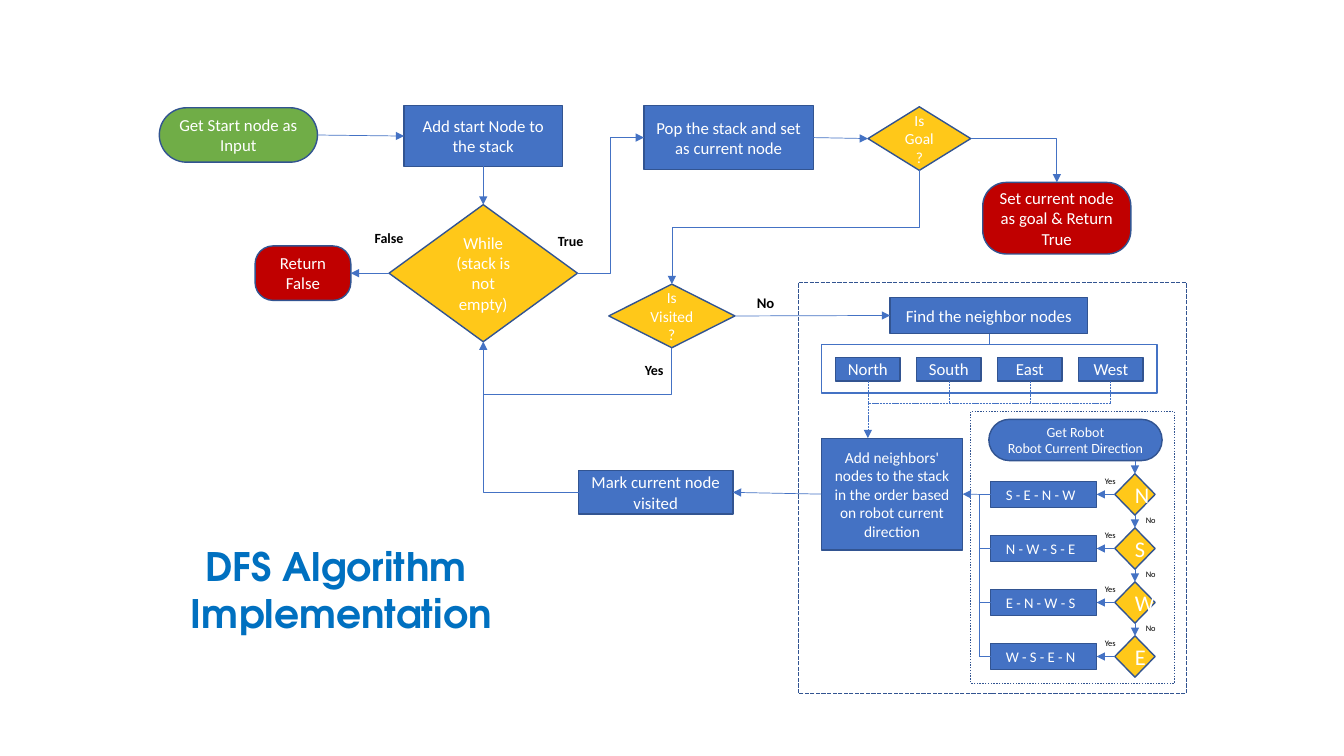
from dataclasses import dataclass

from lxml import etree
from pptx import Presentation
from pptx.dml.color import RGBColor
from pptx.enum.dml import MSO_LINE
from pptx.enum.shapes import MSO_CONNECTOR, MSO_SHAPE
from pptx.enum.text import MSO_ANCHOR, MSO_AUTO_SIZE, PP_ALIGN
from pptx.oxml.ns import qn
from pptx.util import Pt

RECT, DIAMOND, ROUND = MSO_SHAPE.RECTANGLE, MSO_SHAPE.DIAMOND, MSO_SHAPE.ROUNDED_RECTANGLE
LINE, ELBOW = MSO_CONNECTOR.STRAIGHT, MSO_CONNECTOR.ELBOW
DASH, DOT = MSO_LINE.SQUARE_DOT, MSO_LINE.ROUND_DOT
MIDDLE, TOP_EDGE = MSO_ANCHOR.MIDDLE, MSO_ANCHOR.TOP
CENTER, FIXED = PP_ALIGN.CENTER, MSO_AUTO_SIZE.NONE
TOP, LEFT, BOTTOM, RIGHT = range(4)


@dataclass(frozen=True)
class Theme:
    blue: str = "4472C4"
    edge: str = "325491"
    gold: str = "FFC819"
    green: str = "70AD47"
    red: str = "C00000"
    white: str = "FFFFFF"
    black: str = "000000"
    title: str = "0070C0"
    font: str = "Calibri"
    head: str = "TeX Gyre Adventor"
    huge: float = 28
    big: float = 16
    text: float = 12
    mid: float = 11
    row: float = 10.5
    small: float = 10
    tiny: float = 6
    rim: float = 1
    wire: float = 0.5


T = Theme()


def tint(name):
    return RGBColor.from_string(name)


def write(shape, lines, size, color, bold=False, font=T.font, anchor=MIDDLE):
    frame = shape.text_frame
    frame.word_wrap = True
    frame.auto_size = FIXED
    frame.vertical_anchor = anchor
    for i, line in enumerate(lines):
        para = frame.add_paragraph() if i else frame.paragraphs[0]
        para.alignment = CENTER
        run = para.add_run()
        run.text = line
        run.font.name = font
        run.font.size = Pt(size)
        run.font.bold = bold
        run.font.color.rgb = tint(color)


def place(box, x, y, w, h):
    return [Pt(n) for n in (box[0] + x, box[1] + y, w, h)]


def node(shapes, kind, spot, fill, lines, size=T.text, curve=None):
    shape = shapes.add_shape(kind, *spot)
    shape.shadow.inherit = False
    shape.fill.solid()
    shape.fill.fore_color.rgb = tint(fill)
    shape.line.color.rgb = tint(T.edge)
    shape.line.width = Pt(T.rim)
    if curve is not None:
        shape.adjustments[0] = curve
    write(shape, lines, size, T.white)
    return shape


def ring(shapes, spot, color, dash=None):
    shape = shapes.add_shape(RECT, *spot)
    shape.shadow.inherit = False
    shape.fill.background()
    shape.line.color.rgb = tint(color)
    shape.line.width = Pt(T.rim)
    shape.line.dash_style = dash


def label(shapes, spot, text, size=T.small, bold=True):
    write(shapes.add_textbox(*spot), [text], size, T.black, bold)


def site(shape, side):
    x = {LEFT: 0, RIGHT: 1}.get(side, 0.5)
    y = {TOP: 0, BOTTOM: 1}.get(side, 0.5)
    return (shape.left + shape.width * x) / Pt(1), (shape.top + shape.height * y) / Pt(1)


def glued(end):
    return hasattr(end[0], "shape_id")


def point(end):
    return site(*end) if glued(end) else end


def style(wire, arrow, dash):
    wire.line.color.rgb = tint(T.blue)
    wire.line.width = Pt(T.wire)
    wire.line.dash_style = dash
    props = wire._element.spPr
    if arrow:
        etree.SubElement(props.find(qn("a:ln")), qn("a:tailEnd"), type="triangle")
    etree.SubElement(props, qn("a:effectLst"))


def link(shapes, start, end, arrow=True, dash=None):
    wire = shapes.add_connector(LINE, *[Pt(n) for n in (*point(start), *point(end))])
    if glued(start):
        wire.begin_connect(*start)
    if glued(end):
        wire.end_connect(*end)
    style(wire, arrow, dash)


def bend(shapes, start, end, arrow=True, corner=False, drop=False):
    (x1, y1), (x2, y2) = point(start), point(end)
    if drop:
        mx, my = (x1 + x2) / 2, (y1 + y2) / 2
        dx, dy = abs(y2 - y1) / 2, abs(x2 - x1) / 2
        x1, y1, x2, y2 = mx - dx, my - dy, mx + dx, my + dy
    wire = shapes.add_connector(ELBOW, *[Pt(n) for n in (x1, y1, x2, y2)])
    props = wire._element.spPr
    if drop:
        props.find(qn("a:xfrm")).set("rot", "5400000")
    if corner:
        props.find(qn("a:prstGeom")).set("prst", "bentConnector2")
    style(wire, arrow, None)


def heading(slide, box):
    title = slide.shapes.title
    title.left, title.top, title.width, title.height = [Pt(n) for n in box]
    write(title, ["DFS Algorithm ", "Implementation"], T.huge, T.title, True, T.head, TOP_EDGE)


def flow(shapes, box):
    def add(kind, x, y, w, h, fill, *lines, **more):
        return node(shapes, kind, place(box, x, y, w, h), fill, lines, **more)

    start = add(ROUND, 0, 1.4, 113, 38.9, T.green, "Get Start node as Input", curve=0.5)
    push = add(RECT, 174.9, 0, 113, 43.2, T.blue, "Add start Node to the stack")
    loop = add(DIAMOND, 164.1, 70.6, 134.6, 97.9, T.gold, "While", "(stack is not empty)")
    seen = add(DIAMOND, 321.1, 127.4, 90, 45.4, T.gold, "Is Visited?", size=T.mid)
    pop = add(RECT, 346.2, 0, 121, 45.4, T.blue, "Pop the stack and set as current node")
    goal = add(DIAMOND, 506.2, 0.7, 73.4, 45.4, T.gold, "Is Goal?", size=T.mid)
    done = add(ROUND, 588.2, 54.7, 105.8, 51.1, T.red,
               "Set current node as goal & Return True", curve=0.33)
    fail = add(ROUND, 68.4, 100.1, 68.4, 38.9, T.red, "Return False", curve=0.33)
    mark = add(RECT, 299.5, 260.6, 110.2, 31, T.blue, "Mark current node visited")
    for x, y, w, text in ((272.2, 87.1, 43.2, "True"), (142.5, 85, 43.2, "False"),
                          (331.9, 179.3, 43.2, "Yes"), (419, 131, 28.1, "No")):
        label(shapes, place(box, x, y, w, 19.4), text, T.row if text == "No" else T.small)

    link(shapes, (start, RIGHT), (push, LEFT))
    link(shapes, (push, BOTTOM), (loop, TOP))
    link(shapes, (loop, LEFT), (fail, RIGHT))
    link(shapes, (pop, RIGHT), (goal, LEFT))
    bend(shapes, (loop, RIGHT), (pop, LEFT))
    bend(shapes, (goal, RIGHT), (done, TOP), corner=True)
    bend(shapes, (goal, BOTTOM), (seen, TOP), drop=True)
    bend(shapes, (mark, LEFT), (loop, BOTTOM), corner=True)
    bend(shapes, (site(loop, BOTTOM)[0], box[1] + 205.9), (seen, BOTTOM), False, corner=True)
    return seen, mark


def hood(shapes, box, seen, mark):
    x, y, w, h = box
    ring(shapes, place(box, 0, 0, w, h), T.edge, DASH)
    find = node(shapes, RECT, place(box, 65.6, 10.8, 141.1, 25.9), T.blue,
                ["Find the neighbor nodes"])
    ring(shapes, place(box, 16.6, 44.6, 239.8, 34.6), T.blue)
    link(shapes, (find, BOTTOM), (site(find, BOTTOM)[0], y + 44.6), False)
    order = node(shapes, RECT, place(box, 16.6, 111.4, 100.8, 79.9), T.blue,
                 ["Add neighbors' nodes to the stack in the order based on robot current direction"],
                 T.mid)
    bus = y + 86.4
    taps = []
    for i, name in enumerate(("North", "South", "East", "West")):
        cell = node(shapes, RECT, place(box, 26.7 + 57.85 * i, 53.6, 46.1, 16.9), T.blue, [name])
        taps.append(site(cell, BOTTOM)[0])
        link(shapes, (cell, BOTTOM), (taps[i], bus), False, DASH)
    link(shapes, (taps[-1], bus), (taps[0], bus), False, DASH)
    link(shapes, (taps[0], bus), (taps[0], y + 111.4), True, DASH)
    link(shapes, (seen, RIGHT), (find, LEFT))
    link(shapes, (order, LEFT), (mark, RIGHT))
    return order


def robot(shapes, box, order):
    x, y, w, h = box
    ring(shapes, place(box, 0, 0, w, h), T.edge, DOT)
    node(shapes, ROUND, place(box, 12.9, 5.7, 123.8, 29.5), T.blue,
         ["Get Robot", "Robot Current Direction"], T.small, 0.5)
    spine, first, step = x + 5.8, y + 59.35, 38.6
    last = (x + 117.3, y + 35.2)
    for i, name in enumerate("NSWE"):
        drop = step * i
        test = node(shapes, DIAMOND, place(box, 102.9, 44.6 + drop, 28.8, 29.5),
                    T.gold, [name], T.big)
        row = node(shapes, RECT, place(box, 14.3, 50 + drop, 75.6, 18.7), T.blue,
                   [("S - E - N - W", "N - W - S - E", "E - N - W - S", "W - S - E - N")[i]], T.row)
        row.text_frame.margin_right = Pt(11.5)
        link(shapes, last, (test, TOP))
        link(shapes, (test, LEFT), (row, RIGHT))
        link(shapes, (spine, first + drop), (row, LEFT), False)
        label(shapes, place(box, 85.6, 42.5 + drop, 28.1, 14.4), "Yes", T.tiny, False)
        if i < 3:
            label(shapes, place(box, 114.5, 70.5 + drop, 28.1, 14.4), "No", T.tiny, False)
        last = (test, BOTTOM)
    link(shapes, (spine, first), (spine, first + 3 * step), False)
    link(shapes, (spine, first), (order, RIGHT))


def main():
    deck = Presentation()
    deck.slide_width, deck.slide_height = Pt(960), Pt(540)
    slide = deck.slides.add_slide(deck.slide_layouts[5])
    heading(slide, (24.5, 383.8, 438.5, 74.9))
    seen, mark = flow(slide.shapes, (113.8, 75.6))
    order = hood(slide.shapes, (570.2, 201.6, 277.2, 293.8), seen, mark)
    robot(slide.shapes, (693.4, 293.8, 145.4, 194.4), order)
    deck.save("out.pptx")


if __name__ == "__main__":
    main()
